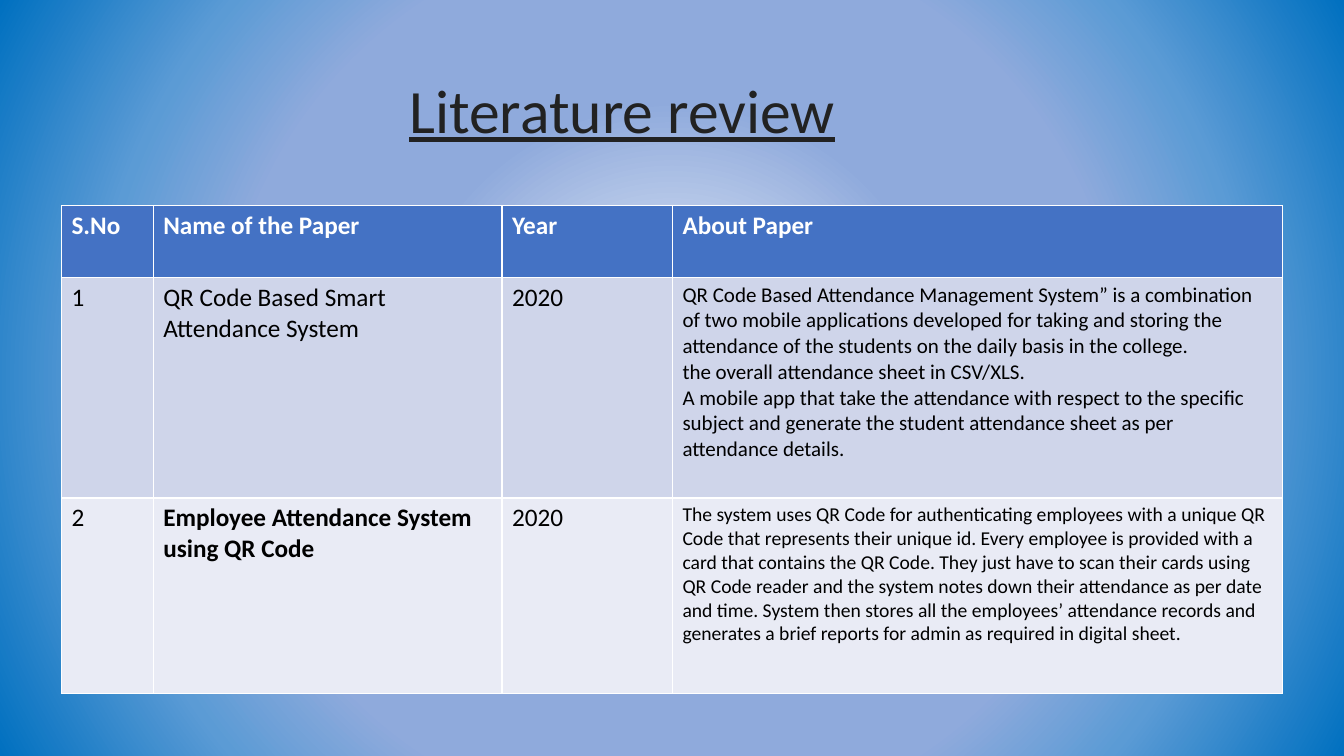
from dataclasses import dataclass

from pptx import Presentation
from pptx.dml.color import RGBColor
from pptx.enum.text import MSO_ANCHOR
from pptx.oxml import parse_xml
from pptx.oxml.ns import nsdecls
from pptx.slide import Slide
from pptx.table import _Cell as Cell
from pptx.util import Inches, Pt


@dataclass(frozen=True)
class Theme:
    font: str = "Calibri"
    title_color: str = "222222"
    header_fill: str = "4472C4"
    header_text: str = "FFFFFF"
    body_text: str = "000000"
    band_fills: tuple[str, ...] = ("CFD5EA", "E9EBF5")
    gradient: tuple[tuple[int, str], ...] = (
        (10, "DAE3F3"),
        (36, "8FAADC"),
        (58, "8FAADC"),
        (75, "5B9BD5"),
        (100, "0070C0"),
    )
    title_size: int = 44
    table_size: int = 18


@dataclass(frozen=True)
class Paper:
    name: str
    year: str
    about: str
    about_size: int
    bold_name: bool = False


THEME = Theme()
HEADINGS = ("S.No", "Name of the Paper", "Year", "About Paper")
COLUMN_WIDTHS = (0.91, 3.46, 1.69, 6.05)
ROW_HEIGHTS = (0.71, 2.19, 1.94)
PAPERS = (
    Paper(
        "QR Code Based Smart Attendance System",
        "2020",
        "QR Code Based Attendance Management System” is a combination of two "
        "mobile applications developed for taking and storing the attendance "
        "of the students on the daily basis in the college.\n"
        "the overall attendance sheet in CSV/XLS.\n"
        "A mobile app that take the attendance with respect to the specific "
        "subject and generate the student attendance sheet as per attendance "
        "details.",
        15,
    ),
    Paper(
        "Employee Attendance System using QR Code",
        "2020",
        "The system uses QR Code for authenticating employees with a unique QR "
        "Code that represents their unique id. Every employee is provided with "
        "a card that contains the QR Code. They just have to scan their cards "
        "using QR Code reader and the system notes down their attendance as per "
        "date and time. System then stores all the employees’ attendance "
        "records and generates a brief reports for admin as required in digital "
        "sheet.",
        14,
        bold_name=True,
    ),
)


def paint_background(page: Slide) -> None:
    stops = "".join(
        f'<a:gs pos="{percent * 1000}"><a:srgbClr val="{color}"/></a:gs>'
        for percent, color in THEME.gradient
    )
    background = parse_xml(
        f'<p:bg {nsdecls("p", "a")}><p:bgPr><a:gradFill rotWithShape="1">'
        f"<a:gsLst>{stops}</a:gsLst>"
        '<a:path path="circle">'
        '<a:fillToRect l="50000" t="50000" r="50000" b="50000"/></a:path>'
        "</a:gradFill><a:effectLst/></p:bgPr></p:bg>"
    )
    page.element.cSld.insert(0, background)


def add_title(page: Slide, text: str) -> None:
    box = page.shapes.add_textbox(Inches(0.92), Inches(0.4), Inches(11.5), Inches(1.45))
    frame = box.text_frame
    frame.word_wrap = True
    frame.vertical_anchor = MSO_ANCHOR.MIDDLE
    frame.margin_left = Inches(3.14)
    para = frame.paragraphs[0]
    para.text = text
    para.line_spacing = 0.9
    para.font.name = THEME.font
    para.font.size = Pt(THEME.title_size)
    para.font.underline = True
    para.font.color.rgb = RGBColor.from_string(THEME.title_color)


def fill_cell(
    cell: Cell, text: str, fill: str, color: str, size: int, bold: bool
) -> None:
    cell.fill.solid()
    cell.fill.fore_color.rgb = RGBColor.from_string(fill)
    cell.text = text
    for para in cell.text_frame.paragraphs:
        para.font.name = THEME.font
        para.font.size = Pt(size)
        para.font.bold = bold
        para.font.color.rgb = RGBColor.from_string(color)


def add_review_table(page: Slide) -> None:
    table = page.shapes.add_table(
        len(ROW_HEIGHTS),
        len(COLUMN_WIDTHS),
        Inches(0.61),
        Inches(2.04),
        Inches(sum(COLUMN_WIDTHS)),
        Inches(sum(ROW_HEIGHTS)),
    ).table
    for column, width in zip(table.columns, COLUMN_WIDTHS):
        column.width = Inches(width)
    for row, height in zip(table.rows, ROW_HEIGHTS):
        row.height = Inches(height)

    for index, heading in enumerate(HEADINGS):
        fill_cell(
            table.cell(0, index),
            heading,
            THEME.header_fill,
            THEME.header_text,
            THEME.table_size,
            True,
        )
    for number, (paper, fill) in enumerate(zip(PAPERS, THEME.band_fills), start=1):
        entries = (
            (str(number), THEME.table_size, False),
            (paper.name, THEME.table_size, paper.bold_name),
            (paper.year, THEME.table_size, False),
            (paper.about, paper.about_size, False),
        )
        for index, (text, size, bold) in enumerate(entries):
            fill_cell(
                table.cell(number, index), text, fill, THEME.body_text, size, bold
            )


def main() -> None:
    deck = Presentation()
    deck.slide_width = Inches(13.33)
    deck.slide_height = Inches(7.5)
    page = deck.slides.add_slide(deck.slide_layouts[6])
    paint_background(page)
    add_title(page, "Literature review")
    add_review_table(page)
    deck.save("out.pptx")


if __name__ == "__main__":
    main()
